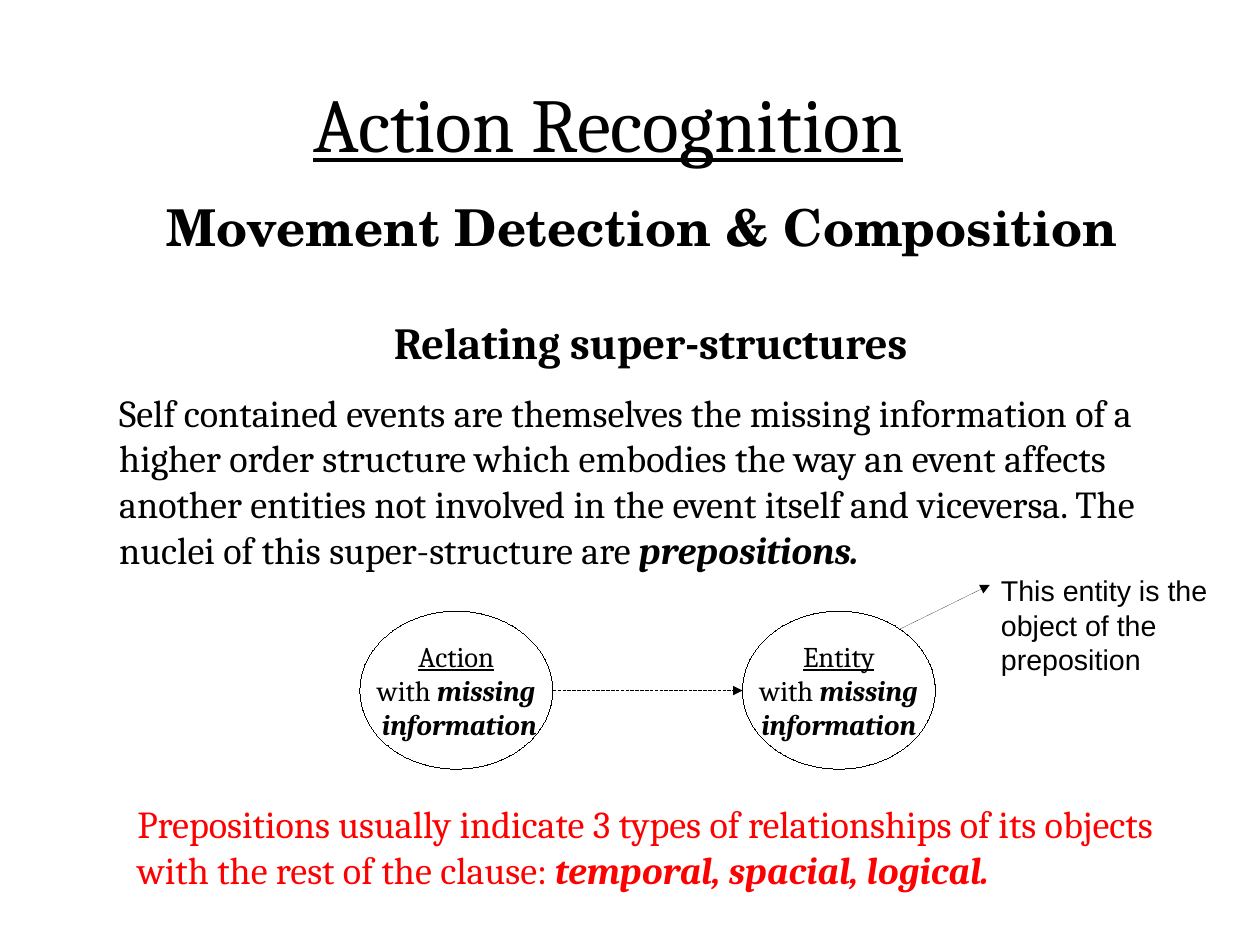
from lxml.etree import SubElement
from pptx import Presentation
from pptx.dml.color import RGBColor
from pptx.enum.dml import MSO_LINE as Dash
from pptx.enum.shapes import MSO_CONNECTOR as Link, MSO_SHAPE as Form
from pptx.enum.text import MSO_ANCHOR as Anchor, MSO_AUTO_SIZE as Fit, PP_ALIGN as Align
from pptx.oxml.ns import qn
from pptx.util import Pt

BLACK, RED = "000000", "FF0000"


def paint(hue):
    return RGBColor.from_string(hue)


def write(shape, lines, size, font="Cambria", hue=BLACK, align=Align.LEFT,
          anchor=Anchor.TOP, wrap=True):
    """Fill a shape with lines, each a list of (words, marks) where marks holds b, i or u."""
    frame = shape.text_frame
    frame.auto_size = Fit.NONE
    frame.word_wrap = wrap
    frame.vertical_anchor = anchor
    for n, line in enumerate(lines):
        para = frame.add_paragraph() if n else frame.paragraphs[0]
        para.alignment = align
        for words, marks in line:
            run = para.add_run()
            run.text = words
            face = run.font
            face.name, face.size = font, Pt(size)
            face.color.rgb = paint(hue)
            face.bold, face.italic, face.underline = (m in marks for m in "biu")


def place(shape, left, top, width, height):
    shape.left, shape.top = Pt(left), Pt(top)
    shape.width, shape.height = Pt(width), Pt(height)


def label(slide, box, lines, size, **style):
    shape = slide.shapes.add_textbox(*map(Pt, box))
    write(shape, lines, size, **style)


def thin(shape):
    shape.line.color.rgb = paint(BLACK)
    edge = shape._element.spPr.find(qn("a:ln"))
    edge.set("w", "0")
    return edge


def node(slide, left, name, last):
    shape = slide.shapes.add_shape(Form.OVAL, Pt(left), Pt(385), Pt(121.5), Pt(99.5))
    shape.shadow.inherit = False
    shape.fill.background()
    thin(shape)
    lines = [[(name, "u")], [("with ", ""), ("missing", "bi")], [(last, "bi")]]
    write(shape, lines, 18, align=Align.CENTER, anchor=Anchor.MIDDLE, wrap=False)


def arrow(slide, ends, dash=None):
    line = slide.shapes.add_connector(Link.STRAIGHT, *map(Pt, ends))
    edge = thin(line)
    if dash:
        line.line.dash_style = dash
    SubElement(edge, qn("a:tailEnd"), type="triangle")
    SubElement(line._element.spPr, qn("a:effectLst"))


def main():
    deck = Presentation()
    deck.slide_width, deck.slide_height = Pt(793.75), Pt(595.25)
    slide = deck.slides.add_slide(deck.slide_layouts[5])

    title = slide.shapes.title
    place(title, 190, 44.5, 420, 138)
    write(title, [[("Action Recognition", "u")]], 48)

    label(slide, (98, 120, 623.5, 51), [[("Movement Detection & Composition", "b")]],
          32, font="TeX Gyre Schola")
    label(slide, (241, 195, 354, 83.5), [[("Relating super-structures", "b")]], 28)
    label(slide, (68, 241.5, 714, 170.5), [[
        ("Self contained events are themselves the missing information of a higher order "
         "structure which embodies the way an event affects another entities not involved "
         "in the event itself and viceversa. The nuclei of this super-structure are ", ""),
        ("prepositions.", "bi")]], 24)

    node(slide, 226.75, "Action", " information")
    node(slide, 467.75, "Entity", "information")
    arrow(slide, (348.25, 435, 467.75, 435), Dash.SQUARE_DOT)
    arrow(slide, (566.5, 396.5, 623.5, 368.5))
    label(slide, (623.5, 357.5, 144, 67.5),
          [[(words, "")] for words in ("This entity is the", "object of the", "preposition")],
          18, font="Arial", wrap=False)

    label(slide, (79.5, 500.5, 689, 90), [[
        ("Prepositions usually indicate 3 types of relationships of its objects "
         "with the rest of the clause: ", ""),
        ("temporal, spacial, logical.", "bi")]], 24, hue=RED)

    deck.save("out.pptx")


if __name__ == "__main__":
    main()
